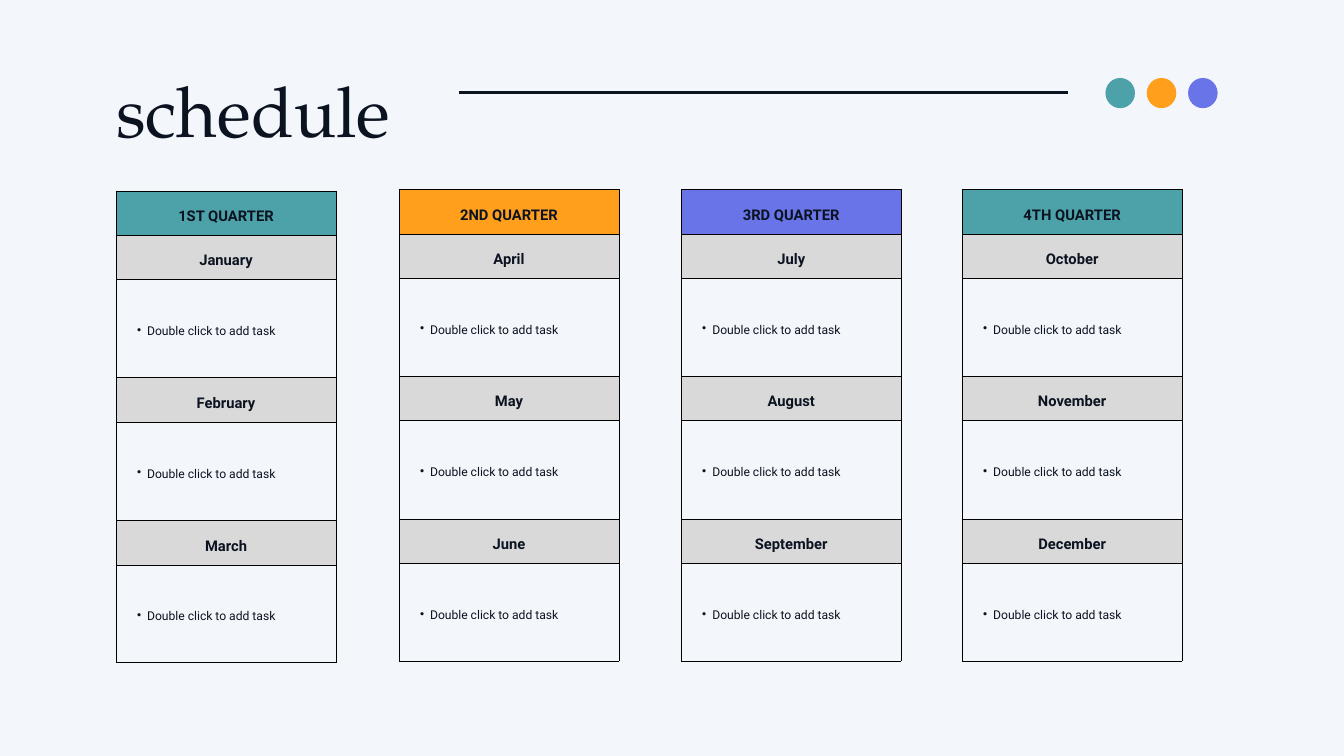
import pptx
import pptx.util
import pptx.dml.color
import pptx.enum.shapes
import pptx.enum.text
import pptx.oxml
import pptx.oxml.ns
import lxml.etree

Inches = pptx.util.Inches
Pt = pptx.util.Pt
qn = pptx.oxml.ns.qn

INK = "0B1320"
GRAY = "D9D9D9"
TEAL, GOLD, BLUE = "4DA1A9", "FF9F1C", "6874E8"
ROWS = [0.6, 0.6, 1.46, 0.6, 1.47, 0.6, 1.45]
TASK = "Double click to add task"
TERMS = [
    (1.73, 2.84, TEAL, "1ST QUARTER", ["January", "February", "March"]),
    (5.94, 2.82, GOLD, "2ND QUARTER", ["April", "May", "June"]),
    (10.14, 2.82, BLUE, "3RD QUARTER", ["July", "August", "September"]),
    (14.32, 2.82, TEAL, "4TH QUARTER", ["October", "November", "December"]),
]


def color(code):
    return pptx.dml.color.RGBColor.from_string(code)


class Deck:
    def __init__(self):
        self.file = pptx.Presentation()
        self.file.slide_width = Inches(20)
        self.file.slide_height = Inches(11.25)
        self.slide = self.file.slides.add_slide(self.file.slide_layouts[6])
        self.fill(self.slide.background, "F3F6FA")
        self.font = "Roboto"
        self.serif = "TeX Gyre Pagella"

    def fill(self, item, code):
        item.fill.solid()
        item.fill.fore_color.rgb = color(code)

    def run(self, line, text, size, face, bold=False):
        run = line.add_run()
        run.text = text
        run.font.size = Pt(size)
        run.font.name = face
        run.font.bold = bold
        run.font.color.rgb = color(INK)

    def title(self, text, left, top, width, height):
        box = self.slide.shapes.add_textbox(
            Inches(left), Inches(top), Inches(width), Inches(height))
        frame = box.text_frame
        frame.word_wrap = True
        frame.margin_left = frame.margin_right = 0
        frame.margin_top = frame.margin_bottom = 0
        line = frame.paragraphs[0]
        line.line_spacing = 1.2
        self.run(line, text, 75, self.serif)

    def rule(self, left, right, top):
        rule = self.slide.shapes.add_connector(
            pptx.enum.shapes.MSO_CONNECTOR.STRAIGHT,
            Inches(left), Inches(top), Inches(right), Inches(top))
        rule.line.color.rgb = color(INK)
        rule.line.width = Pt(3)
        props = rule._element.spPr
        lxml.etree.SubElement(props, qn("a:effectLst"))

    def dot(self, left, top, code):
        dot = self.slide.shapes.add_shape(
            pptx.enum.shapes.MSO_SHAPE.OVAL,
            Inches(left), Inches(top), Inches(0.44), Inches(0.45))
        dot.shadow.inherit = False
        self.fill(dot, code)
        dot.line.fill.background()

    def border(self, cell):
        props = cell._tc.get_or_add_tcPr()
        for side in ("L", "R", "T", "B"):
            edge = lxml.etree.SubElement(
                props, qn("a:ln" + side), w=str(Pt(0.75)))
            paint = lxml.etree.SubElement(edge, qn("a:solidFill"))
            lxml.etree.SubElement(paint, qn("a:srgbClr"), val="000000")

    def bullet(self, line):
        line.level = 1
        props = line._p.get_or_add_pPr()
        props.set("marL", str(Inches(0.31)))
        props.set("indent", str(Inches(-0.15)))
        paint = lxml.etree.SubElement(props, qn("a:buClr"))
        lxml.etree.SubElement(paint, qn("a:srgbClr"), val=INK)
        lxml.etree.SubElement(props, qn("a:buChar"), char="•")

    def cell(self, cell, text, code):
        cell.margin_left = cell.margin_right = Inches(0.15)
        cell.margin_top = cell.margin_bottom = Inches(0.15)
        cell.vertical_anchor = pptx.enum.text.MSO_ANCHOR.MIDDLE
        self.border(cell)
        line = cell.text_frame.paragraphs[0]
        line.line_spacing = 1.4
        if code:
            self.fill(cell, code)
            line.alignment = pptx.enum.text.PP_ALIGN.CENTER
            self.run(line, text, 15.8, self.font, True)
        else:
            cell.fill.background()
            self.bullet(line)
            self.run(line, text, 13, self.font)

    def table(self, left, top, code, head, months):
        frame = self.slide.shapes.add_table(
            len(ROWS), 1, Inches(left), Inches(top),
            Inches(3.27), Inches(sum(ROWS)))
        table = frame.table
        table.first_row = table.horz_banding = False
        for row, height in zip(table.rows, ROWS):
            row.height = Inches(height)
        items = [(head, code)]
        for month in months:
            items += [(month, GRAY), (TASK, None)]
        for row, (text, tint) in enumerate(items):
            self.cell(table.cell(row, 0), text, tint)


def main():
    deck = Deck()
    for term in TERMS:
        deck.table(*term)
    deck.title("schedule", 1.73, 0.76, 16.54, 1.25)
    deck.rule(6.83, 15.9, 1.38)
    for spot, code in enumerate((TEAL, GOLD, BLUE)):
        deck.dot(16.45 + 0.615 * spot, 1.16, code)
    deck.file.save("out.pptx")


if __name__ == "__main__":
    main()
